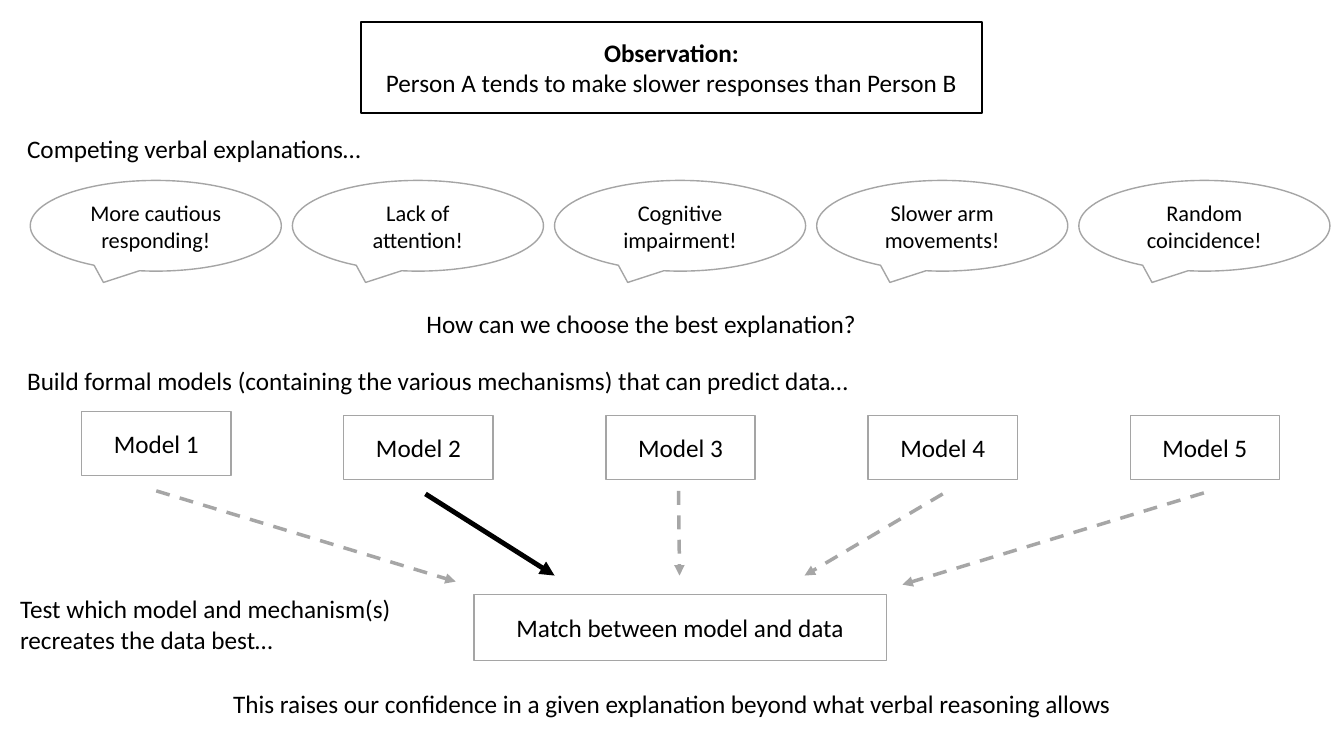
from lxml import etree
from pptx import Presentation
from pptx import util as u
from pptx.dml.color import RGBColor
from pptx.enum import dml, shapes, text
from pptx.oxml.ns import qn

PX = 9144  # EMU in one px, 100 px to the inch
BLACK = RGBColor(0, 0, 0)
WHITE = RGBColor(255, 255, 255)
GREY = RGBColor(0xA5, 0xA5, 0xA5)
DASHED = RGBColor(0xA6, 0xA6, 0xA6)

FACT = ["Observation:", "Person A tends to make slower responses than Person B"]
CLAIMS = ["More cautious responding!", "Lack of attention!",
          "Cognitive impairment!", "Slower arm movements!",
          "Random coincidence!"]
MATCH = "Match between model and data"
# words, box, wraps, centred
NOTES = [
    ("Competing verbal explanations…", (17, 127, 362, 40), False, False),
    ("How can we choose the best explanation?", (413, 301, 452, 40), False, False),
    ("Build formal models (containing the various mechanisms) that can predict data…",
     (17, 358, 845, 40), False, False),
    ("Test which model and mechanism(s) recreates the data best…",
     (10, 584, 405, 71), True, False),
    ("This raises our confidence in a given explanation beyond what verbal reasoning allows",
     (180, 678, 973, 40), True, True),
]
# start, end, for each model in turn
ARROWS = [
    ((155, 487), (452, 577)),
    ((422, 490), (550, 571)),
    ((673, 487), (674, 571)),
    ((935, 490), (798, 571)),
    ((1194, 489), (895, 580)),
]
BEST = 1  # index of the model that fits
LEFT, PITCH = 30, 260
INDENT = 51  # from bubble edge to model edge

deck = Presentation()
deck.slide_width, deck.slide_height = 1333 * PX, 750 * PX
slide = deck.slides.add_slide(deck.slide_layouts[6])


def scale(box):
    return [n * PX for n in box]


def write(frame, lines, size=18, centred=True):
    frame.text = "\n".join(lines)
    for par in frame.paragraphs:
        par.font.name, par.font.size = "Calibri", u.Pt(size)
        par.font.color.rgb = BLACK
        par.alignment = text.PP_ALIGN.CENTER if centred else text.PP_ALIGN.LEFT


def draw(kind, box, lines, size=18, edge=GREY):
    shape = slide.shapes.add_shape(kind, *scale(box))
    shape.shadow.inherit = False
    shape.fill.solid()
    shape.fill.fore_color.rgb = WHITE
    shape.line.color.rgb = edge
    shape.line.width = u.Pt(1)
    shape.text_frame.vertical_anchor = text.MSO_ANCHOR.MIDDLE
    write(shape.text_frame, lines, size)
    return shape


def note(words, box, wraps, centred):
    frame = slide.shapes.add_textbox(*scale(box)).text_frame
    frame.word_wrap = wraps
    frame.auto_size = text.MSO_AUTO_SIZE.SHAPE_TO_FIT_TEXT
    write(frame, [words], centred=centred)


def arrow(start, end, best):
    link = slide.shapes.add_connector(shapes.MSO_CONNECTOR.STRAIGHT,
                                      *scale(start + end))
    link.line.color.rgb = BLACK if best else DASHED
    link.line.width = u.Pt(3.5 if best else 2.5)
    if not best:
        link.line.dash_style = dml.MSO_LINE.DASH
    props = link._element.spPr
    etree.SubElement(props.find(qn("a:ln")), qn("a:tailEnd"), type="triangle")
    etree.SubElement(props, qn("a:effectLst"))


kinds = shapes.MSO_SHAPE
fact = draw(kinds.RECTANGLE, (358, 22, 616, 90), FACT, edge=BLACK)
fact.text_frame.paragraphs[0].font.bold = True

for i, (claim, ends) in enumerate(zip(CLAIMS, ARROWS)):
    x = LEFT + i * PITCH
    top = 412 if i else 408
    draw(kinds.OVAL_CALLOUT, (x, 179, 249, 90), [claim], size=16)
    draw(kinds.FLOWCHART_PROCESS, (x + INDENT, top, 148, 64), [f"Model {i + 1}"])
    arrow(*ends, i == BEST)

draw(kinds.FLOWCHART_PROCESS, (470, 590, 409, 65), [MATCH])
for item in NOTES:
    note(*item)

deck.save("out.pptx")
